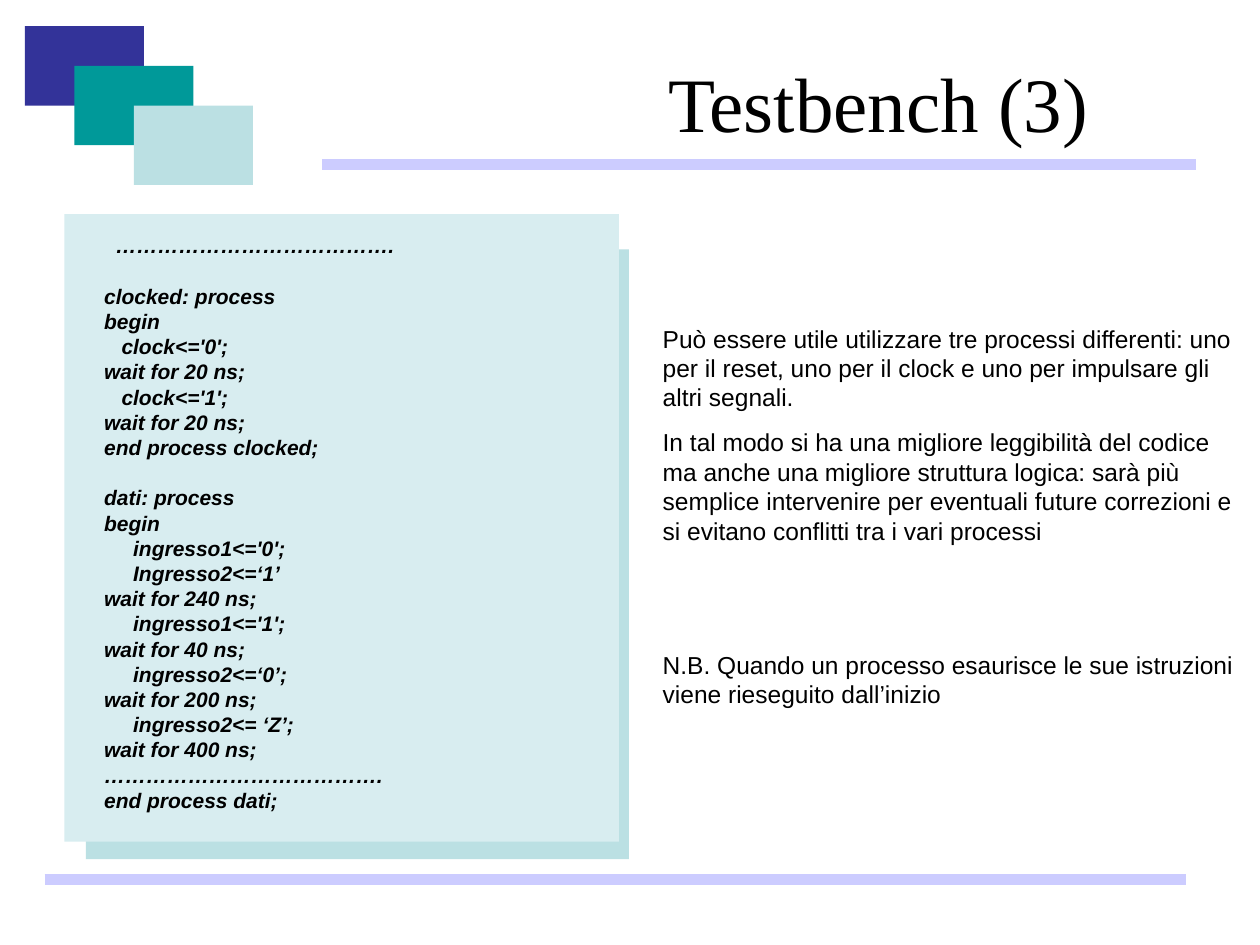
from lxml.etree import SubElement
from pptx import Presentation
from pptx.dml.color import RGBColor
from pptx.enum.shapes import MSO_CONNECTOR, MSO_SHAPE
from pptx.enum.text import MSO_ANCHOR, MSO_AUTO_SIZE, PP_ALIGN
from pptx.oxml.ns import qn
from pptx.util import Cm, Pt

CODE_BLOCKS = [
    """  ………………………………….""",
    """clocked: process
begin
   clock<='0';
wait for 20 ns;
   clock<='1';
wait for 20 ns;
end process clocked;""",
    """dati: process
begin
     ingresso1<='0';
     Ingresso2<=‘1’
wait for 240 ns;
     ingresso1<='1';
wait for 40 ns;
     ingresso2<=‘0’;
wait for 200 ns;
     ingresso2<= ‘Z’;
wait for 400 ns;
………………………………….
end process dati;""",
]

NOTES = [
    ("Può essere utile utilizzare tre processi differenti: uno per il reset, "
     "uno per il clock e uno per impulsare gli altri segnali.", 0),
    ("In tal modo si ha una migliore leggibilità del codice ma anche una "
     "migliore struttura logica: sarà più semplice intervenire per eventuali "
     "future correzioni e si evitano conflitti tra i vari processi", 8.8),
    ("N.B. Quando un processo esaurisce le sue istruzioni viene rieseguito "
     "dall’inizio", 60),
]


def color(hex_string):
    return RGBColor.from_string(hex_string)


def write_text(text_frame, lines, font="Arial", size=14, bold=False, italic=False,
               align=PP_ALIGN.LEFT, anchor=MSO_ANCHOR.TOP,
               auto_size=MSO_AUTO_SIZE.SHAPE_TO_FIT_TEXT):
    text_frame.word_wrap = True
    text_frame.auto_size = auto_size
    text_frame.vertical_anchor = anchor
    for index, (text, space_before) in enumerate(lines):
        paragraph = text_frame.add_paragraph() if index else text_frame.paragraphs[0]
        paragraph.alignment = align
        paragraph.space_before = Pt(space_before)
        run = paragraph.add_run()
        run.text = text
        run.font.name = font
        run.font.size = Pt(size)
        run.font.bold = bold
        run.font.italic = italic
        run.font.color.rgb = color("000000")


def add_rectangle(shapes, left, top, width, height, fill):
    shape = shapes.add_shape(MSO_SHAPE.RECTANGLE, Cm(left), Cm(top), Cm(width), Cm(height))
    shape.shadow.inherit = False
    shape.fill.solid()
    shape.fill.fore_color.rgb = color(fill)
    shape.line.fill.background()


def add_rule(slide, left, right, y):
    connector = slide.shapes.add_connector(
        MSO_CONNECTOR.STRAIGHT, Cm(left), Cm(y), Cm(right), Cm(y))
    connector.line.color.rgb = color("CCCCFF")
    connector.line.width = Pt(6)
    SubElement(connector._element.spPr, qn("a:effectLst"))


def add_title(slide, text):
    title = slide.shapes.title
    title.left, title.top, title.width, title.height = Cm(11.71), Cm(0.97), Cm(11.99), Cm(2.16)
    write_text(title.text_frame, [(text, 0)], font="Times New Roman", size=44,
               align=PP_ALIGN.CENTER, anchor=MSO_ANCHOR.MIDDLE,
               auto_size=MSO_AUTO_SIZE.NONE)


def add_text(shapes, left, top, width, height, lines, **text_format):
    text_box = shapes.add_textbox(Cm(left), Cm(top), Cm(width), Cm(height))
    write_text(text_box.text_frame, lines, **text_format)


def add_code_panel(slide):
    shapes = slide.shapes.add_group_shape().shapes
    add_rectangle(shapes, 1.73, 5.03, 10.95, 12.29, "BBE0E3")
    add_rectangle(shapes, 1.3, 4.32, 11.18, 12.65, "D8EDF0")
    lines = [
        (line, 14.4 if block_index and not line_index else 0)
        for block_index, block in enumerate(CODE_BLOCKS)
        for line_index, line in enumerate(block.split("\n"))
    ]
    add_text(shapes, 1.85, 4.57, 10.46, 11.94, lines, size=12, bold=True, italic=True)


def main():
    presentation = Presentation()
    presentation.slide_width, presentation.slide_height = Cm(25.4), Cm(19.05)
    slide = presentation.slides.add_slide(presentation.slide_layouts[5])
    add_title(slide, "Testbench (3)")
    for left, top, fill in [(0.5, 0.53, "333399"), (1.5, 1.33, "009999"), (2.7, 2.13, "BBE0E3")]:
        add_rectangle(slide.shapes, left, top, 2.4, 1.6, fill)
    add_rule(slide, 6.5, 24.1, 3.32)
    add_rule(slide, 0.9, 23.9, 17.73)
    add_text(slide.shapes, 13.11, 6.4, 12.29, 8.03, NOTES)
    add_code_panel(slide)
    presentation.save("out.pptx")


if __name__ == "__main__":
    main()
